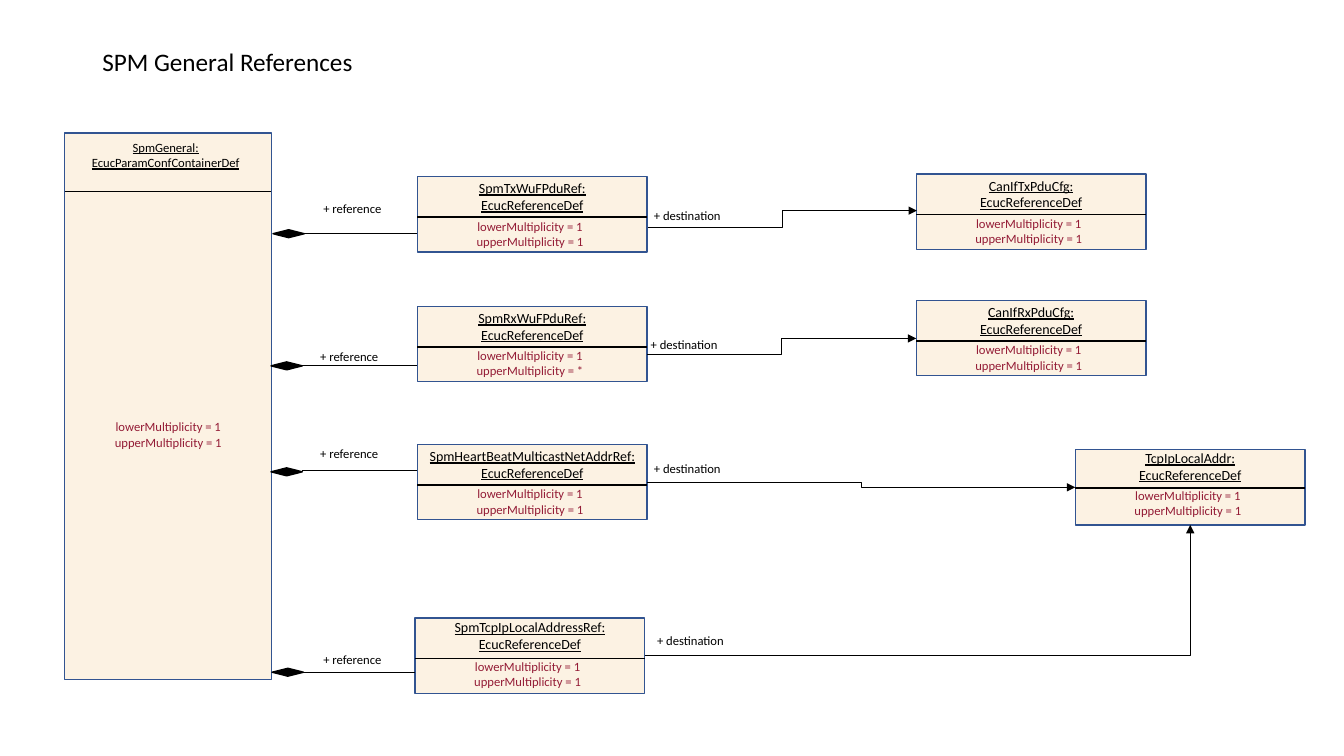
"""Build the SPM General References class diagram slide."""
import pptx
import pptx.util
import pptx.dml.color
import pptx.enum.shapes
import pptx.enum.text
import pptx.oxml
import pptx.oxml.ns

Cm, Pt = pptx.util.Cm, pptx.util.Pt
RGBColor = pptx.dml.color.RGBColor
SHAPE = pptx.enum.shapes.MSO_SHAPE
LINE = pptx.enum.shapes.MSO_CONNECTOR
ANCHOR = pptx.enum.text.MSO_ANCHOR
ALIGN = pptx.enum.text.PP_ALIGN

BLACK = RGBColor(0x00, 0x00, 0x00)
CREAM = RGBColor(0xFC, 0xF2, 0xE3)
BLUE = RGBColor(0x32, 0x54, 0x91)
CRIMSON = RGBColor(0x94, 0x1C, 0x36)
FONT = "Calibri"

TITLE = "SPM General References"
CONTAINER = ["SpmGeneral:", "EcucParamConfContainerDef"]
REF_TYPE = "EcucReferenceDef"
BOX_W, BOX_H = 5.79, 1.9
DIAMOND_W, DIAMOND_H = 0.79, 0.2

# name: x, y, divider offset, heading offset, multiplicity offset, upper bound
CLASSES = {
    "SpmTxWuFPduRef": (10.52, 4.45, 1.02, -0.05, 0.93, "1"),
    "SpmRxWuFPduRef": (10.52, 7.72, 1.02, -0.05, 0.93, "*"),
    "SpmHeartBeatMulticastNetAddrRef": (10.52, 11.2, 1.02, -0.05, 0.93, "1"),
    "SpmTcpIpLocalAddressRef": (10.46, 15.57, 1.02, -0.1, 0.91, "1"),
    "CanIfTxPduCfg": (23.09, 4.39, 1.02, -0.05, 0.93, "1"),
    "CanIfRxPduCfg": (23.09, 7.57, 1.02, -0.05, 0.93, "1"),
    "TcpIpLocalAddr": (27.1, 11.33, 0.97, -0.13, 0.84, "1"),
}
# class, diamond x and y, line y, label x and y
REFERENCES = [
    ("SpmTxWuFPduRef", 6.88, 5.79, 5.89, 7.9, 4.93),
    ("SpmRxWuFPduRef", 6.83, 9.12, 9.2, 7.82, 8.66),
    ("SpmHeartBeatMulticastNetAddrRef", 6.83, 11.79, 11.86, 7.82, 11.1),
    ("SpmTcpIpLocalAddressRef", 6.86, 16.84, 16.94, 7.9, 16.31),
]
# from and to points, label x and y
FREE_DESTINATIONS = [
    (16.33, 5.72, 23.11, 5.31, 16.23, 5.11),
    (16.31, 8.92, 23.09, 8.53, 16.15, 8.36),
]
# source, target, target side, geometry, label x and y
JOINED_DESTINATIONS = [
    ("SpmHeartBeatMulticastNetAddrRef", "TcpIpLocalAddr", 1, "bentConnector3", 16.23, 11.48),
    ("SpmTcpIpLocalAddressRef", "TcpIpLocalAddr", 2, "bentConnector2", 16.31, 15.82),
]


def add_text(s, lines, x, y, w, h, size=9, color=BLACK, align=ALIGN.CENTER, underline=None):
    tf = s.shapes.add_textbox(Cm(x), Cm(y), Cm(w), Cm(h)).text_frame
    tf.word_wrap = True
    for i, line in enumerate(lines):
        p = tf.paragraphs[0] if i == 0 else tf.add_paragraph()
        p.alignment = align
        r = p.add_run()
        r.text = line
        r.font.name, r.font.size, r.font.underline = FONT, Pt(size), underline
        r.font.color.rgb = color
    return tf


def add_box(s, kind, x, y, w, h, fill, line):
    sp = s.shapes.add_shape(kind, Cm(x), Cm(y), Cm(w), Cm(h))
    sp.shadow.inherit = False
    sp.fill.solid()
    sp.fill.fore_color.rgb = fill
    sp.line.color.rgb = line
    sp.line.width = Pt(1)
    return sp


def add_line(s, x1, y1, x2, y2, width=0.5, kind=LINE.STRAIGHT, arrow=False):
    c = s.shapes.add_connector(kind, Cm(x1), Cm(y1), Cm(x2), Cm(y2))
    c.line.color.rgb = BLACK
    c.line.width = Pt(width)
    if arrow:
        tail = pptx.oxml.parse_xml('<a:tailEnd %s type="triangle"/>' % pptx.oxml.ns.nsdecls("a"))
        c.line._get_or_add_ln().append(tail)
    c._element.spPr.append(pptx.oxml.parse_xml("<a:effectLst %s/>" % pptx.oxml.ns.nsdecls("a")))
    return c


def add_multiplicity(s, x, y, w, upper="1"):
    lines = ["lowerMultiplicity = 1", "upperMultiplicity = " + upper]
    add_text(s, lines, x, y, w, 1.02, color=CRIMSON)


def add_class(s, name, x, y, divider, heading, body, upper):
    sp = add_box(s, SHAPE.RECTANGLE, x, y, BOX_W, BOX_H, CREAM, BLUE)
    add_line(s, x, y + divider, x + BOX_W, y + divider, 1)
    add_text(s, [name + ":", REF_TYPE], x, y + heading, BOX_W, 1.12, 10, underline=True)
    add_multiplicity(s, x + 0.32, y + body, 5.03, upper)
    return sp


def add_destination_label(s, x, y):
    add_text(s, ["+ destination"], x, y, 2.21, 0.64, align=ALIGN.LEFT)


def main():
    prs = pptx.Presentation()
    prs.slide_width, prs.slide_height = Cm(33.87), Cm(19.05)
    s = prs.slides.add_slide(prs.slide_layouts[6])

    tf = add_text(s, [TITLE], 2.33, 1.02, 29.21, 1.14, 18, align=ALIGN.LEFT)
    tf.vertical_anchor = ANCHOR.MIDDLE
    tf.paragraphs[0].line_spacing = 0.9

    add_box(s, SHAPE.RECTANGLE, 1.63, 3.35, 5.21, 13.77, CREAM, BLUE)
    add_line(s, 1.63, 4.83, 6.84, 4.83, 1)
    add_text(s, CONTAINER, 1.57, 3.4, 5.21, 1.02, underline=True)
    add_multiplicity(s, 1.98, 10.44, 4.52)

    boxes = {name: add_class(s, name, *row) for name, row in CLASSES.items()}

    for name, x, y, line_y, label_x, label_y in REFERENCES:
        add_box(s, SHAPE.DIAMOND, x, y, DIAMOND_W, DIAMOND_H, BLACK, BLACK)
        add_line(s, x + DIAMOND_W, line_y, CLASSES[name][0], line_y)
        add_text(s, ["+ reference"], label_x, label_y, 2.57, 0.64, align=ALIGN.LEFT)

    for x1, y1, x2, y2, label_x, label_y in FREE_DESTINATIONS:
        add_line(s, x1, y1, x2, y2, kind=LINE.ELBOW, arrow=True)
        add_destination_label(s, label_x, label_y)

    for source, target, side, geometry, label_x, label_y in JOINED_DESTINATIONS:
        x1, y1 = CLASSES[source][0] + BOX_W, CLASSES[source][1] + BOX_H / 2
        x2, y2 = CLASSES[target][:2]
        if side == 1:
            y2 += BOX_H / 2
        else:
            x2, y2 = x2 + BOX_W / 2, y2 + BOX_H
        c = add_line(s, x1, y1, x2, y2, kind=LINE.ELBOW, arrow=True)
        c._element.spPr.find(pptx.oxml.ns.qn("a:prstGeom")).set("prst", geometry)
        c.begin_connect(boxes[source], 3)
        c.end_connect(boxes[target], side)
        add_destination_label(s, label_x, label_y)

    prs.save("out.pptx")


if __name__ == "__main__":
    main()
